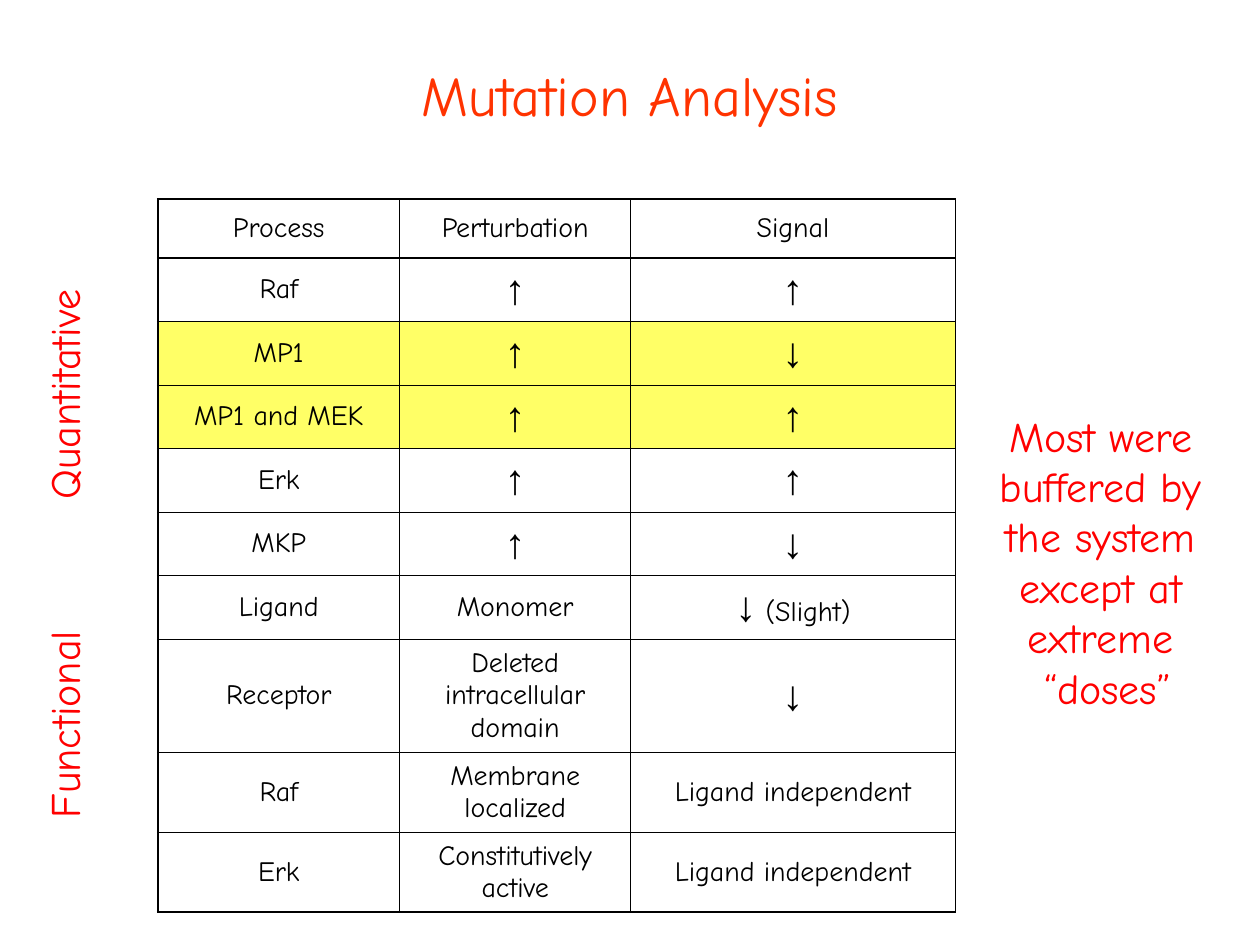
from dataclasses import dataclass
from itertools import groupby

from lxml import etree
from pptx import Presentation
from pptx.dml.color import RGBColor
from pptx.enum.text import MSO_ANCHOR, PP_ALIGN
from pptx.oxml.ns import qn
from pptx.util import Cm, Pt

CENTER = PP_ALIGN.CENTER
MIDDLE = MSO_ANCHOR.MIDDLE
TOP = MSO_ANCHOR.TOP
TITLE_ONLY = 5


@dataclass(frozen=True)
class Theme:
    font: str = "Comic Neue"
    arrow_font: str = "Arial"
    title_color: str = "FF3300"
    note_color: str = "FF0000"
    text_color: str = "000000"
    highlight: str = "FFFF66"
    title_size: float = 32
    note_size: float = 24
    cell_size: float = 16
    arrow_size: float = 24
    thin_line: float = 0.45
    thick_line: float = 1.08


THEME = Theme()
ARROWS = "↑↓"
ROWS = [
    ("Process", "Perturbation", "Signal"),
    ("Raf", "↑", "↑"),
    ("MP1", "↑", "↓"),
    ("MP1 and MEK", "↑", "↑"),
    ("Erk", "↑", "↑"),
    ("MKP", "↑", "↓"),
    ("Ligand", "Monomer", "↓ (Slight)"),
    ("Receptor", "Deleted intracellular domain", "↓"),
    ("Raf", "Membrane localized", "Ligand independent"),
    ("Erk", "Constitutively active", "Ligand independent"),
]
ROW_HEIGHTS = [1.19] + [1.28] * 6 + [2.29, 1.61, 1.61]
COLUMN_WIDTHS = [4.88, 4.65, 6.55]
HIGHLIGHTED_ROWS = (2, 3)
SECTION_EDGES = (0, 1, 6, len(ROWS))
OUTER_EDGES = (0, len(COLUMN_WIDTHS))


def format_font(font, name, size, color):
    font.name = name
    font.size = Pt(size)
    font.color.rgb = RGBColor.from_string(color)


def place(shape, box):
    shape.left, shape.top, shape.width, shape.height = (Cm(value) for value in box)


def add_title(slide, box, text):
    title = slide.shapes.title
    place(title, box)
    title.text_frame.text = text
    title.text_frame.vertical_anchor = MIDDLE
    paragraph = title.text_frame.paragraphs[0]
    paragraph.alignment = CENTER
    format_font(paragraph.runs[0].font, THEME.font, THEME.title_size, THEME.title_color)


def add_note(slide, box, text, anchor, rotation=0):
    shape = slide.shapes.add_textbox(*(Cm(value) for value in box))
    shape.rotation = rotation
    text_frame = shape.text_frame
    text_frame.word_wrap = True
    text_frame.vertical_anchor = anchor
    text_frame.text = text
    paragraph = text_frame.paragraphs[0]
    paragraph.alignment = CENTER
    for run in paragraph.runs:
        format_font(run.font, THEME.font, THEME.note_size, THEME.note_color)


def set_borders(cell, row, column):
    edges = {
        "a:lnL": column in OUTER_EDGES,
        "a:lnR": column + 1 in OUTER_EDGES,
        "a:lnT": row in SECTION_EDGES,
        "a:lnB": row + 1 in SECTION_EDGES,
    }
    properties = cell._tc.get_or_add_tcPr()
    for tag, thick in edges.items():
        width = THEME.thick_line if thick else THEME.thin_line
        line = etree.SubElement(properties, qn(tag), w=str(Pt(width)))
        fill = etree.SubElement(line, qn("a:solidFill"))
        etree.SubElement(fill, qn("a:srgbClr"), val=THEME.text_color)


def fill_cell(cell, text, highlighted):
    if highlighted:
        cell.fill.solid()
        cell.fill.fore_color.rgb = RGBColor.from_string(THEME.highlight)
    else:
        cell.fill.background()
    cell.vertical_anchor = MIDDLE
    paragraph = cell.text_frame.paragraphs[0]
    paragraph.alignment = CENTER
    for is_arrow, characters in groupby(text, key=lambda character: character in ARROWS):
        run = paragraph.add_run()
        run.text = "".join(characters)
        name = THEME.arrow_font if is_arrow else THEME.font
        size = THEME.arrow_size if is_arrow else THEME.cell_size
        format_font(run.font, name, size, THEME.text_color)


def add_mutation_table(slide, left, top):
    table = slide.shapes.add_table(
        len(ROWS), len(COLUMN_WIDTHS), Cm(left), Cm(top),
        Cm(sum(COLUMN_WIDTHS)), Cm(sum(ROW_HEIGHTS)),
    ).table
    table.first_row = False
    table.horz_banding = False
    for column, width in zip(table.columns, COLUMN_WIDTHS):
        column.width = Cm(width)
    for row, height in zip(table.rows, ROW_HEIGHTS):
        row.height = Cm(height)
    for row, texts in enumerate(ROWS):
        for column, text in enumerate(texts):
            cell = table.cell(row, column)
            set_borders(cell, row, column)
            fill_cell(cell, text, row in HIGHLIGHTED_ROWS)


def add_group_labels(slide, left, width, height, labels):
    for text, top in labels:
        add_note(slide, (left, top, width, height), text, TOP, rotation=270)


def main():
    presentation = Presentation()
    presentation.slide_width = Cm(25.4)
    presentation.slide_height = Cm(19.05)
    slide = presentation.slides.add_slide(presentation.slide_layouts[TITLE_ONLY])
    add_title(slide, (1.27, 0.84, 22.86, 2.11), "Mutation Analysis")
    add_mutation_table(slide, 3.18, 4.01)
    note = "Most were \vbuffered by \vthe system \vexcept at \vextreme \v“doses”"
    add_note(slide, (19.69, 5.28, 5.28, 12.07), note, MIDDLE)
    add_group_labels(slide, -2.21, 6.78, 1.07, [("Quantitative", 7.42), ("Functional", 14.07)])
    presentation.save("out.pptx")


if __name__ == "__main__":
    main()
